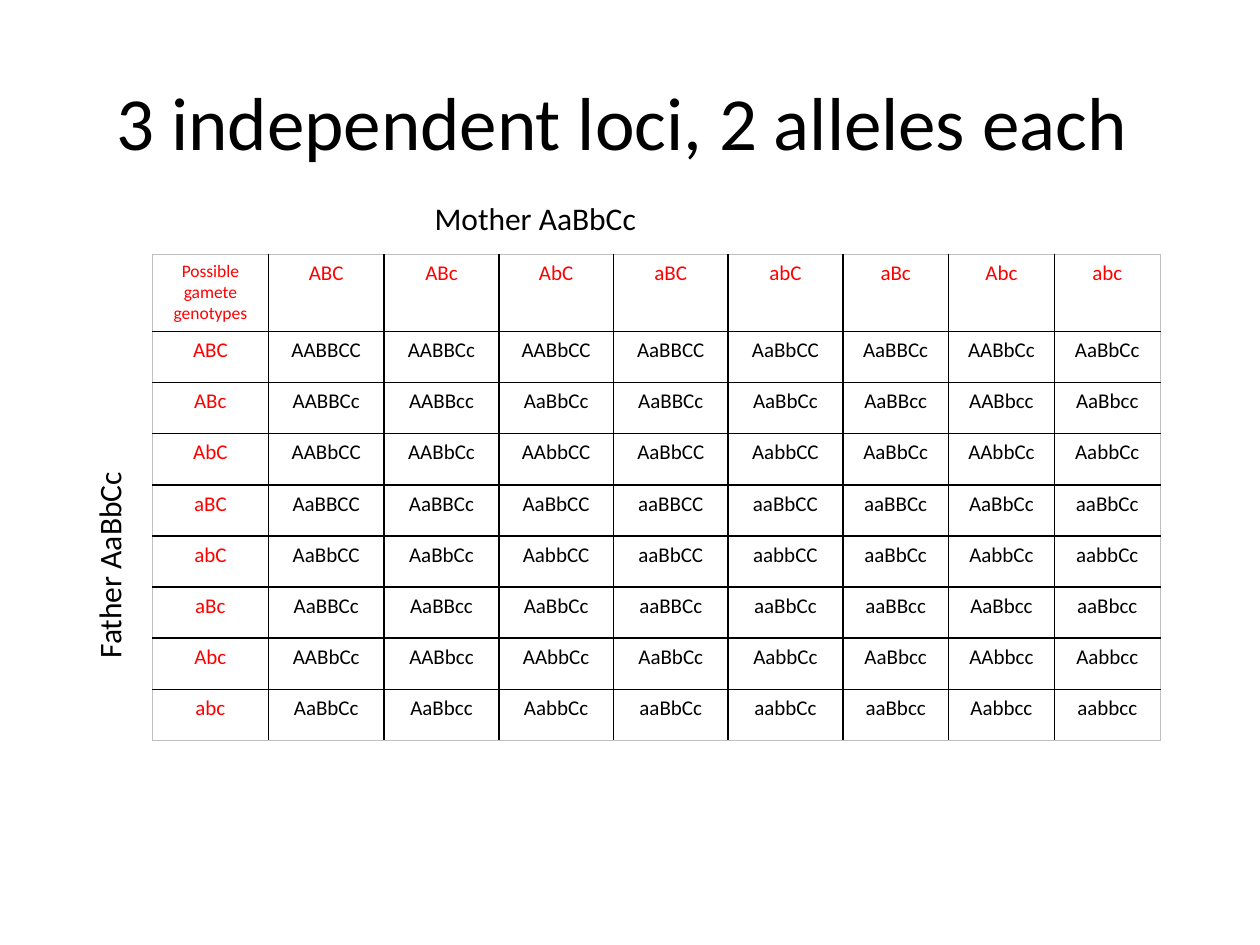
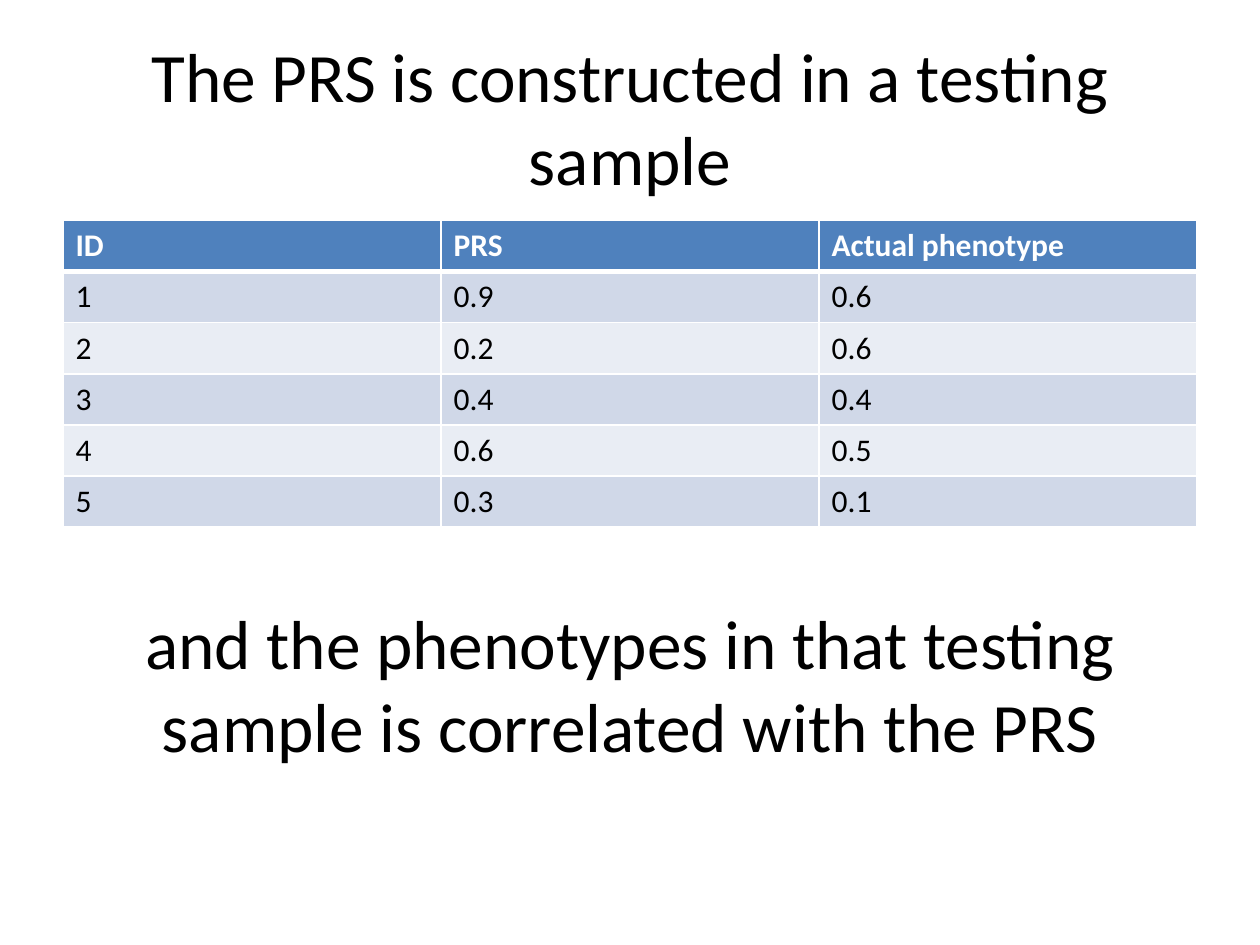
"""Build two slides on genotype crosses and polygenic risk scores (PRS)."""
from dataclasses import dataclass
from typing import Callable, Optional

from lxml import etree
from pptx import Presentation
from pptx import util as u
from pptx.dml.color import RGBColor
from pptx.enum import text
from pptx.oxml import ns


@dataclass(frozen=True)
class Theme:
    font: str = "Calibri"
    ink: str = "000000"
    paper: str = "FFFFFF"
    gamete: str = "FF0000"
    edge: str = "BFBFBF"
    header: str = "4F81BD"
    bands: tuple[str, str] = ("D0D8E8", "E9EDF4")
    cross_title: float = 42.9
    statement: float = 39.6
    body: float = 18
    genotype: float = 12
    corner: float = 10


@dataclass(frozen=True)
class Box:
    left: float
    top: float
    width: float
    height: float

    def emu(self) -> tuple[u.Length, ...]:
        return tuple(u.Inches(v) for v in (self.left, self.top, self.width, self.height))


@dataclass(frozen=True)
class Style:
    size: float
    color: str
    bold: bool = False
    centered: bool = False


@dataclass(frozen=True)
class Line:
    color: str
    points: float


@dataclass(frozen=True)
class Look:
    style: Style
    fill: Optional[str]
    borders: dict[str, Line]


@dataclass(frozen=True)
class Label:
    words: str
    box: Box
    style: Style
    rotation: float = 0
    middle: bool = False


THEME = Theme()
GAMETES = ["ABC", "ABc", "AbC", "aBC", "abC", "aBc", "Abc", "abc"]
SHOWN_EXCEPTIONS = {("ABc", "AbC"): "AaBbCc"}
SCORES = [
    ["ID", "PRS", "Actual phenotype"],
    ["1", "0.9", "0.6"],
    ["2", "0.2", "0.6"],
    ["3", "0.4", "0.4"],
    ["4", "0.6", "0.5"],
    ["5", "0.3", "0.1"],
]
STATEMENT = Style(THEME.statement, THEME.ink, centered=True)
PARENT = Style(THEME.body, THEME.ink)


def write(frame, words: str, style: Style) -> None:
    frame.text = words
    paragraph = frame.paragraphs[0]
    paragraph.alignment = text.PP_ALIGN.CENTER if style.centered else text.PP_ALIGN.LEFT
    font = paragraph.font
    font.name, font.size, font.bold = THEME.font, u.Pt(style.size), style.bold
    font.color.rgb = RGBColor.from_string(style.color)


def fill_frame(shape, label: Label) -> None:
    frame = shape.text_frame
    frame.word_wrap = True
    frame.auto_size = text.MSO_AUTO_SIZE.NONE
    frame.vertical_anchor = text.MSO_ANCHOR.MIDDLE if label.middle else text.MSO_ANCHOR.TOP
    write(frame, label.words, label.style)
    shape.rotation = label.rotation


def add_titled_slide(deck, title: Label):
    slide = deck.slides.add_slide(deck.slide_layouts[5])
    heading = slide.shapes.title
    heading.left, heading.top, heading.width, heading.height = title.box.emu()
    fill_frame(heading, title)
    return slide


def add_label(slide, label: Label) -> None:
    fill_frame(slide.shapes.add_textbox(*label.box.emu()), label)


def draw_borders(cell, borders: dict[str, Line]) -> None:
    properties = cell._tc.get_or_add_tcPr()
    for position, side in enumerate("LRTB"):
        line = borders[side]
        border = etree.Element(ns.qn(f"a:ln{side}"), w=str(u.Pt(line.points)))
        solid = etree.SubElement(border, ns.qn("a:solidFill"))
        etree.SubElement(solid, ns.qn("a:srgbClr"), val=line.color)
        properties.insert(position, border)


def add_grid(slide, box: Box, rows: list[list[str]], widths: list[float],
             heights: list[float], look_at: Callable[[int, int], Look]) -> None:
    table = slide.shapes.add_table(len(rows), len(widths), *box.emu()).table
    table.first_row = table.horz_banding = False
    for column, width in zip(table.columns, widths):
        column.width = u.Inches(width)
    for row, height in zip(table.rows, heights):
        row.height = u.Inches(height)
    for r, values in enumerate(rows):
        for c, value in enumerate(values):
            cell, look = table.cell(r, c), look_at(r, c)
            write(cell.text_frame, value, look.style)
            if look.fill:
                cell.fill.solid()
                cell.fill.fore_color.rgb = RGBColor.from_string(look.fill)
            else:
                cell.fill.background()
            draw_borders(cell, look.borders)


def offspring(father: str, mother: str) -> str:
    cross = "".join("".join(sorted(locus)) for locus in zip(father, mother))
    return SHOWN_EXCEPTIONS.get((father, mother), cross)


def cross_look(r: int, c: int) -> Look:
    last = len(GAMETES)
    outer, inner = Line(THEME.edge, 0.5), Line(THEME.ink, 1)
    at_edge = {"L": c == 0, "R": c == last, "T": r == 0, "B": r == last}
    size = THEME.corner if r == c == 0 else THEME.genotype
    color = THEME.gamete if 0 in (r, c) else THEME.ink
    return Look(Style(size, color, centered=True), None,
                {side: outer if edge else inner for side, edge in at_edge.items()})


def score_look(r: int, c: int) -> Look:
    borders = dict.fromkeys("LRTB", Line(THEME.paper, 1))
    if r < 2:
        borders["B" if r == 0 else "T"] = Line(THEME.paper, 3)
    if r == 0:
        return Look(Style(THEME.body, THEME.paper, bold=True), THEME.header, borders)
    return Look(Style(THEME.body, THEME.ink), THEME.bands[(r - 1) % 2], borders)


def build_cross_slide(deck) -> None:
    slide = add_titled_slide(deck, Label(
        "3 independent loci, 2 alleles each ", Box(0.75, 0.33, 8.5, 1.25),
        Style(THEME.cross_title, THEME.ink, centered=True), middle=True))
    rows = [["Possible gamete genotypes", *GAMETES]]
    rows += [[father, *(offspring(father, mother) for mother in GAMETES)] for father in GAMETES]
    box, header_height = Box(1.21, 2.02, 7.96, 3.86), 0.61
    row_height = (box.height - header_height) / len(GAMETES)
    add_grid(slide, box, rows, [0.92] * 2 + [0.91] * 4 + [0.84] * 3,
             [header_height] + [row_height] * len(GAMETES), cross_look)
    add_label(slide, Label("Mother AaBbCc", Box(3.35, 1.53, 2.99, 0.4), PARENT))
    add_label(slide, Label("Father AaBbCc", Box(-0.16, 4.1, 2.05, 0.4), PARENT, rotation=270))


def build_score_slide(deck) -> None:
    slide = add_titled_slide(deck, Label(
        "The PRS is constructed in a testing sample", Box(0.5, 0.3, 9, 1.25),
        STATEMENT, middle=True))
    box = Box(0.5, 1.75, 9, 2.43)
    add_grid(slide, box, SCORES, [box.width / 3] * 3,
             [box.height / len(SCORES)] * len(SCORES), score_look)
    add_label(slide, Label(
        "and the phenotypes in that testing sample is correlated with the PRS",
        Box(0.5, 4.8, 9, 1.25), STATEMENT, middle=True))


def main() -> None:
    deck = Presentation()
    deck.slide_width, deck.slide_height = u.Inches(10), u.Inches(7.5)
    build_cross_slide(deck)
    build_score_slide(deck)
    deck.save("out.pptx")


if __name__ == "__main__":
    main()
